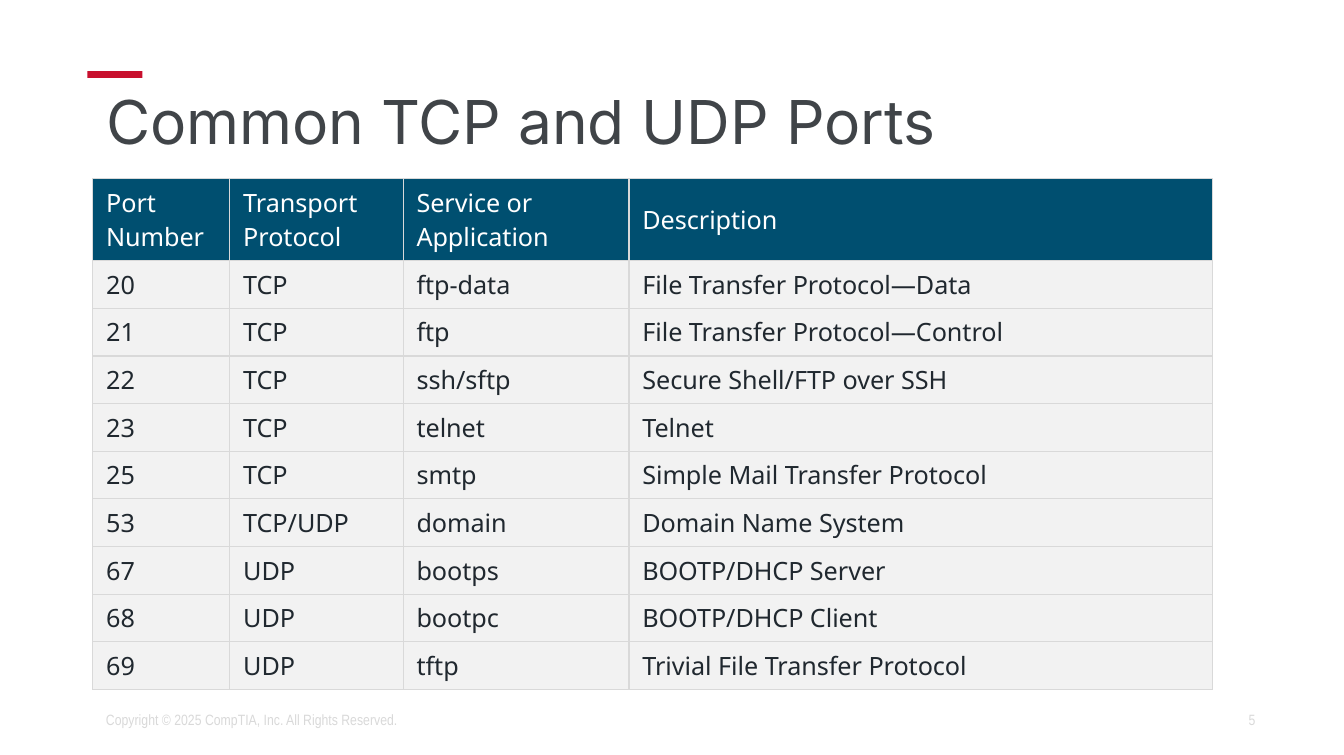
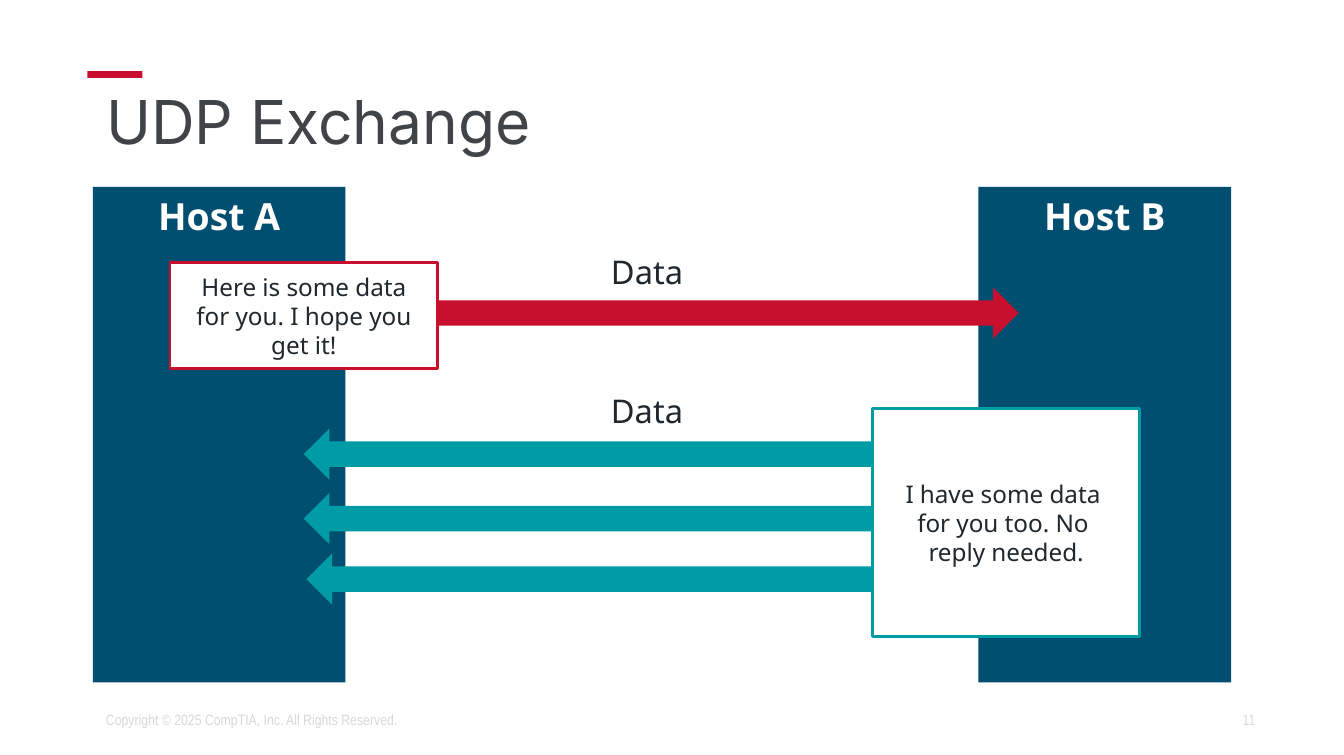
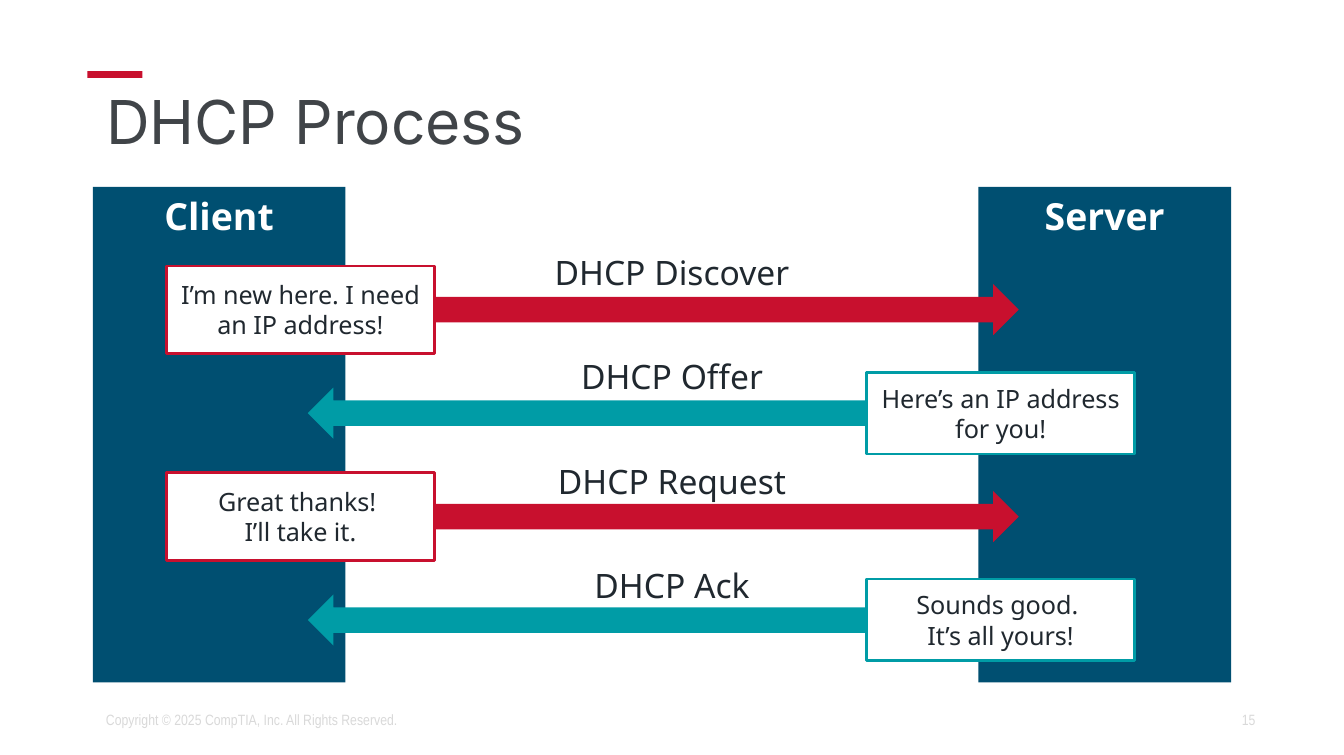
from dataclasses import dataclass
from typing import Any, NamedTuple

from lxml import etree
from pptx import Presentation
from pptx.dml.color import RGBColor
from pptx.enum.shapes import MSO_SHAPE
from pptx.enum.text import MSO_ANCHOR, MSO_AUTO_SIZE, PP_ALIGN
from pptx.oxml.ns import qn
from pptx.util import Emu, Inches, Pt

RECTANGLE, ARROW = MSO_SHAPE.RECTANGLE, MSO_SHAPE.RIGHT_ARROW
LEFT, CENTER, RIGHT = PP_ALIGN.LEFT, PP_ALIGN.CENTER, PP_ALIGN.RIGHT
TOP, MIDDLE = MSO_ANCHOR.TOP, MSO_ANCHOR.MIDDLE
NO_AUTOFIT, GROW = MSO_AUTO_SIZE.NONE, MSO_AUTO_SIZE.SHAPE_TO_FIT_TEXT

RED = RGBColor(0xC8, 0x10, 0x2E)
TEAL = RGBColor(0x00, 0x9C, 0xA6)
NAVY = RGBColor(0x00, 0x4F, 0x71)
HEADER_NAVY = RGBColor(0x00, 0x4F, 0x70)
WHITE = RGBColor(0xFF, 0xFF, 0xFF)
INK = RGBColor(0x20, 0x28, 0x2F)
TITLE_GREY = RGBColor(0x40, 0x44, 0x48)
PALE_GREY = RGBColor(0xD9, 0xD9, 0xD9)
ROW_GREY = RGBColor(0xF2, 0xF2, 0xF2)

SLIDE_WIDTH, SLIDE_HEIGHT = Inches(10), Inches(5.62)
# The slide is a grid of square cells; every Box is given in cells.
COLUMNS = 100
CELL = SLIDE_WIDTH / COLUMNS


def cells(count: float) -> Emu:
    return Emu(round(count * CELL))


class Box(NamedTuple):
    left: float
    top: float
    width: float
    height: float

    def lengths(self) -> list[Emu]:
        return [cells(count) for count in self]


class Style(NamedTuple):
    font: dict[str, Any]
    color: RGBColor
    align: PP_ALIGN = LEFT
    anchor: MSO_ANCHOR = TOP


def font_format(name: str, size: float, bold: bool = False) -> dict[str, Any]:
    return {"name": name, "size": Pt(size), "bold": bold}


TITLE = Style(font_format("Inter", 32.4), TITLE_GREY)
COPYRIGHT = Style(font_format("Arial Narrow", 8), PALE_GREY, LEFT, MIDDLE)
PAGE = COPYRIGHT._replace(align=RIGHT)
HOST = Style(font_format("Noto Sans", 20, True), WHITE, CENTER)
HEADER = Style(font_format("Noto Sans", 13.5), WHITE, LEFT, MIDDLE)
ENTRY = Style(HEADER.font, INK)

ACCENT = Box(6.5, 5.3, 4.1, 0.5)
TITLE_BOX = Box(6.9, 6.35, 86.2, 6.3)
COPYRIGHT_BOX = Box(6.9, 52.05, 43.1, 3)
PAGE_BOX = Box(70.6, 52.05, 23.8, 3)
HOST_BOXES = Box(6.9, 13.9, 18.8, 36.9), Box(72.8, 13.9, 18.8, 36.9)
ARROW_SIZE = 50.1, 3.8
CALLOUT_WIDTH = 19.9
LABEL_HEIGHT = 4
TABLE_LEFT, TABLE_TOP = 6.9, 13.3
PORT_COLUMNS = 10.2, 12.9, 16.8, 43.4
HEADER_ROW, ENTRY_ROW = 6.1, 3.55

PORTS = [
    ("Port Number", "Transport Protocol", "Service or Application", "Description"),
    ("20", "TCP", "ftp-data", "File Transfer Protocol—Data"),
    ("21", "TCP", "ftp", "File Transfer Protocol—Control"),
    ("22", "TCP", "ssh/sftp", "Secure Shell/FTP over SSH"),
    ("23", "TCP", "telnet", "Telnet"),
    ("25", "TCP", "smtp", "Simple Mail Transfer Protocol"),
    ("53", "TCP/UDP", "domain", "Domain Name System"),
    ("67", "UDP", "bootps", "BOOTP/DHCP Server"),
    ("68", "UDP", "bootpc", "BOOTP/DHCP Client"),
    ("69", "UDP", "tftp", "Trivial File Transfer Protocol"),
]


@dataclass
class Exchange:
    label: str
    label_box: Box
    message: str
    callout: Box
    arrows: list[tuple[float, float]]
    reply: bool = False


@dataclass
class Dialogue:
    title: str
    page: int
    hosts: tuple[str, str]
    label_size: float
    message_size: float
    exchanges: list[Exchange]


def dhcp_exchange(step: int, label: str, message: str) -> Exchange:
    """One of four evenly spaced steps, each callout centred on its arrow."""
    reply = step % 2 == 1
    arrow_top = 21.15 + 7.7 * step
    callout_left, height = (64.5, 6.1) if reply else (12.4, 6.5)
    callout_top = arrow_top + (ARROW_SIZE[1] - height) / 2
    label_width = 25.4 if step == 0 else 21.2
    label_box = Box((COLUMNS - label_width) / 2, 18.27 + 7.77 * step,
                    label_width, LABEL_HEIGHT)
    return Exchange(label, label_box, message,
                    Box(callout_left, callout_top, CALLOUT_WIDTH, height),
                    [(22.9 if reply else 25.7, arrow_top)], reply)


UDP = Dialogue("UDP Exchange", 11, ("Host A", "Host B"), 17.5, 13, [
    Exchange("Data", Box(40.6, 18.25, 15.1, LABEL_HEIGHT),
             "Here is some data for you. I hope you get it!",
             Box(12.65, 19.55, CALLOUT_WIDTH, 7.9), [(25.7, 21.4)]),
    Exchange("Data", Box(40, 28.6, 16.3, LABEL_HEIGHT),
             "I have some data \vfor you too. No \vreply needed.",
             Box(64.9, 30.4, CALLOUT_WIDTH, 17),
             [(22.6, 31.9), (22.6, 36.7), (22.8, 41.2)], reply=True),
])

DHCP_STEPS = [
    ("DHCP Discover", "I’m new here. I need an IP address!"),
    ("DHCP Offer", "Here’s an IP address for you!"),
    ("DHCP Request", "Great thanks! \vI’ll take it."),
    ("DHCP Ack", "Sounds good. \vIt’s all yours!"),
]
DHCP = Dialogue("DHCP Process", 15, ("Client", "Server"), 18, 13.5, [
    dhcp_exchange(step, *texts) for step, texts in enumerate(DHCP_STEPS)])


def write(frame, text: str, style: Style) -> None:
    frame.text = text
    frame.word_wrap = True
    frame.vertical_anchor = style.anchor
    for paragraph in frame.paragraphs:
        paragraph.alignment = style.align
        for run in paragraph.runs:
            for attribute, value in style.font.items():
                setattr(run.font, attribute, value)
            run.font.color.rgb = style.color


def add_text(slide, box: Box, text: str, style: Style):
    frame = slide.shapes.add_textbox(*box.lengths()).text_frame
    write(frame, text, style)
    return frame


def add_filled(shapes, kind: MSO_SHAPE, box: Box, fill: RGBColor,
               outline: RGBColor | None = None):
    shape = shapes.add_shape(kind, *box.lengths())
    shape.shadow.inherit = False
    shape.fill.solid()
    shape.fill.fore_color.rgb = fill
    if outline is None:
        shape.line.fill.background()
    else:
        shape.line.color.rgb = outline
        shape.line.width = Pt(1.5)
    return shape


def add_slide(deck, title: str, page: int):
    slide = deck.slides.add_slide(deck.slide_layouts.get_by_name("Title Only"))
    heading = slide.shapes.title
    heading.left, heading.top, heading.width, heading.height = TITLE_BOX.lengths()
    write(heading.text_frame, title, TITLE)
    heading.text_frame.auto_size = NO_AUTOFIT
    heading.text_frame.paragraphs[0].line_spacing = 0.9
    add_filled(slide.shapes, RECTANGLE, ACCENT, RED)
    add_text(slide, PAGE_BOX, str(page), PAGE)
    add_text(slide, COPYRIGHT_BOX,
             "Copyright © 2025 CompTIA, Inc. All Rights Reserved.", COPYRIGHT)
    return slide


def border_cell(cell) -> None:
    properties = cell._tc.get_or_add_tcPr()
    for side in ("a:lnL", "a:lnR", "a:lnT", "a:lnB"):
        line = etree.SubElement(properties, qn(side), w=str(Pt(0.75)))
        fill = etree.SubElement(line, qn("a:solidFill"))
        etree.SubElement(fill, qn("a:srgbClr"), val=str(PALE_GREY))


def add_ports_slide(deck) -> None:
    slide = add_slide(deck, "Common TCP and UDP Ports", 5)
    heights = [HEADER_ROW] + [ENTRY_ROW] * (len(PORTS) - 1)
    area = Box(TABLE_LEFT, TABLE_TOP, sum(PORT_COLUMNS), sum(heights))
    table = slide.shapes.add_table(
        len(PORTS), len(PORT_COLUMNS), *area.lengths()).table
    for column, width in zip(table.columns, PORT_COLUMNS):
        column.width = cells(width)
    for index, (row, height, texts) in enumerate(zip(table.rows, heights, PORTS)):
        row.height = cells(height)
        style, fill = (ENTRY, ROW_GREY) if index else (HEADER, HEADER_NAVY)
        for cell, text in zip(row.cells, texts):
            border_cell(cell)
            cell.fill.solid()
            cell.fill.fore_color.rgb = fill
            write(cell.text_frame, text, style)
            cell.vertical_anchor = style.anchor


def add_exchange(slide, exchange: Exchange, message_style: Style) -> None:
    """Draw the arrows and, over their tails, the sender's callout."""
    color = TEAL if exchange.reply else RED
    group = slide.shapes.add_group_shape()
    for left, top in exchange.arrows:
        arrow = add_filled(group.shapes, ARROW, Box(left, top, *ARROW_SIZE), color)
        arrow.rotation = 180 if exchange.reply else 0
    callout = add_filled(group.shapes, RECTANGLE, exchange.callout, WHITE, color)
    write(callout.text_frame, exchange.message, message_style)


def add_dialogue_slide(deck, dialogue: Dialogue) -> None:
    slide = add_slide(deck, dialogue.title, dialogue.page)
    label_style = Style(font_format("Noto Sans", dialogue.label_size), INK, CENTER)
    message_style = Style(font_format("Noto Sans", dialogue.message_size),
                          INK, CENTER, MIDDLE)
    for name, box in zip(dialogue.hosts, HOST_BOXES):
        host = add_filled(slide.shapes, RECTANGLE, box, NAVY)
        write(host.text_frame, name, HOST)
    for exchange in dialogue.exchanges:
        label = add_text(slide, exchange.label_box, exchange.label, label_style)
        label.auto_size = GROW
    for exchange in dialogue.exchanges:
        add_exchange(slide, exchange, message_style)


def main() -> None:
    deck = Presentation()
    deck.slide_width, deck.slide_height = SLIDE_WIDTH, SLIDE_HEIGHT
    add_ports_slide(deck)
    for dialogue in (UDP, DHCP):
        add_dialogue_slide(deck, dialogue)
    deck.save("out.pptx")


if __name__ == "__main__":
    main()
